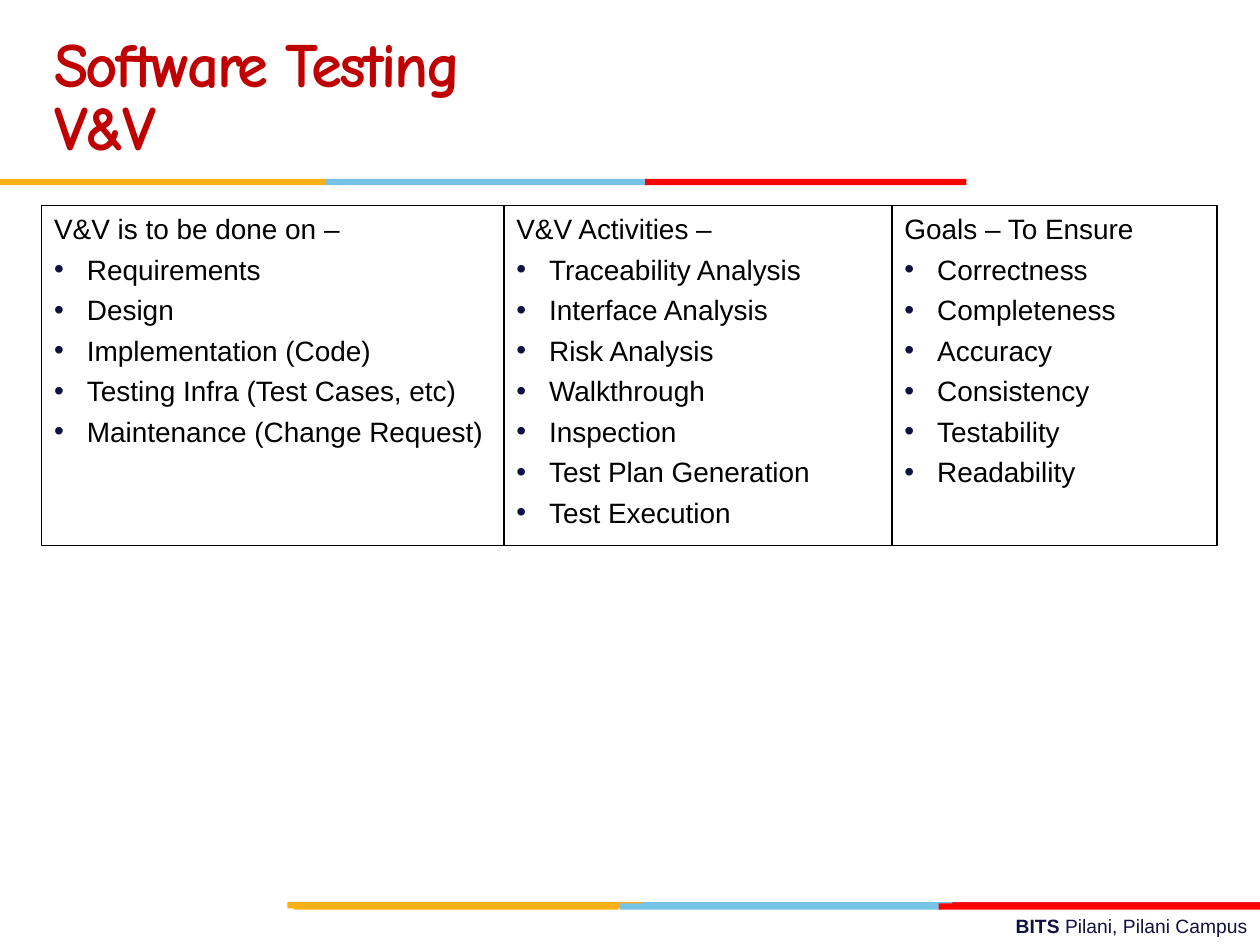
from lxml import etree
from pptx import Presentation
from pptx.dml.color import RGBColor
from pptx.enum.shapes import MSO_SHAPE
from pptx.enum.text import MSO_ANCHOR, MSO_AUTO_SIZE, PP_ALIGN
from pptx.oxml.ns import qn
from pptx.util import Inches, Pt

NAVY, BLACK, CRIMSON = "101141", "000000", "C00000"
GOLD, SKY, RED, BRICK = "FCB017", "76C2E5", "FF0000", "E31C24"

COLUMNS = [
    (3.67, "V&V is to be done on –",
     ["Requirements", "Design", "Implementation (Code)",
      "Testing Infra (Test Cases, etc)", "Maintenance (Change Request)"]),
    (3.08, "V&V Activities –",
     ["Traceability Analysis", "Interface Analysis", "Risk Analysis", "Walkthrough",
      "Inspection", "Test Plan Generation", "Test Execution"]),
    (2.58, "Goals – To Ensure",
     ["Correctness", "Completeness", "Accuracy", "Consistency", "Testability",
      "Readability"]),
]


def rgb(value):
    return RGBColor.from_string(value)


def place(sp, left, top, width, height):
    sp.left, sp.top = Inches(left), Inches(top)
    sp.width, sp.height = Inches(width), Inches(height)


def add_run(p, text, size=16, font="Arial", color=BLACK, bold=False, spacing=None):
    r = p.add_run()
    r.text = text
    r.font.size, r.font.name, r.font.bold = Pt(size), font, bold
    r.font.color.rgb = rgb(color)
    if spacing is not None:
        r.font._element.set("spc", str(int(spacing * 100)))
    return r


def next_paragraph(tf, index):
    return tf.add_paragraph() if index else tf.paragraphs[0]


def set_bullet(p, char=None, color=NAVY, indent=0.26):
    pPr = p._p.get_or_add_pPr()
    hang = Inches(indent) if char else 0
    pPr.set("marL", str(hang))
    pPr.set("indent", str(-hang))
    if not char:
        etree.SubElement(pPr, qn("a:buNone"))
        return
    clr = etree.SubElement(pPr, qn("a:buClr"))
    etree.SubElement(clr, qn("a:srgbClr"), val=color)
    etree.SubElement(pPr, qn("a:buFont"), typeface="Arial")
    etree.SubElement(pPr, qn("a:buChar"), char=char)


def add_strip(s, top, bars, height=0.05):
    """Coloured rule made of (left, width, colour) bars."""
    for left, width, color in bars:
        sp = s.shapes.add_shape(MSO_SHAPE.RECTANGLE, Inches(left), Inches(top),
                                Inches(width), Inches(height))
        sp.shadow.inherit = False
        sp.fill.solid()
        sp.fill.fore_color.rgb = rgb(color)
        sp.line.fill.background()


def fill_title(sp, box, lines):
    place(sp, *box)
    tf = sp.text_frame
    tf.auto_size = MSO_AUTO_SIZE.NONE
    tf.vertical_anchor = MSO_ANCHOR.MIDDLE
    for i, line in enumerate(lines):
        p = next_paragraph(tf, i)
        p.alignment = PP_ALIGN.LEFT
        p.line_spacing = Pt(36)
        add_run(p, line, size=36, font="Comic Neue", color=CRIMSON, bold=True, spacing=-1.5)


def fill_column(sp, box, heading, items):
    place(sp, *box)
    sp.line.color.rgb = rgb(BLACK)
    sp.line.width = Pt(0.75)
    tf = sp.text_frame
    tf.word_wrap = True
    tf.auto_size = MSO_AUTO_SIZE.NONE
    tf.vertical_anchor = MSO_ANCHOR.TOP
    for i, text in enumerate([heading] + items):
        p = next_paragraph(tf, i)
        p.alignment = PP_ALIGN.LEFT
        p.space_before = Pt(4 if i else 0)
        set_bullet(p, "•" if i else None)
        add_run(p, text)


def add_columns(s, body, left, top, height):
    """Adjoining bordered lists; the first one is the body placeholder."""
    for i, (width, heading, items) in enumerate(COLUMNS):
        box = (left, top, width, height)
        sp = s.shapes.add_textbox(0, 0, 0, 0) if i else body
        fill_column(sp, box, heading, items)
        left += width


def add_footer(s, box):
    sp = s.shapes.add_textbox(*map(Inches, box))
    sp.text_frame.word_wrap = True
    p = sp.text_frame.paragraphs[0]
    p.alignment = PP_ALIGN.RIGHT
    add_run(p, "BITS ", size=11, color=NAVY, bold=True)
    add_run(p, "Pilani, Pilani Campus", size=11, color=NAVY)


def main():
    prs = Presentation()
    prs.slide_width, prs.slide_height = Inches(10), Inches(7.5)
    s = prs.slides.add_slide(prs.slide_layouts[1])

    # Footer and rules
    add_footer(s, (3.58, 7.21, 6.42, 0.29))
    add_strip(s, 7.16, [(5.06, 2.55, SKY), (7.56, 2.44, BRICK), (2.28, 2.82, GOLD)])
    add_strip(s, 7.17, [(4.92, 2.55, SKY), (2.33, 2.58, GOLD), (7.45, 2.55, RED)])
    add_strip(s, 1.42, [(2.58, 2.55, SKY), (0, 2.58, GOLD), (5.12, 2.55, RED)])

    # Heading and the three lists
    fill_title(s.shapes.title, (0.33, 0.17, 6.92, 1.25), ["Software Testing", "V&V"])
    add_columns(s, s.placeholders[1], left=0.33, top=1.63, height=2.7)

    prs.save("out.pptx")


if __name__ == "__main__":
    main()
